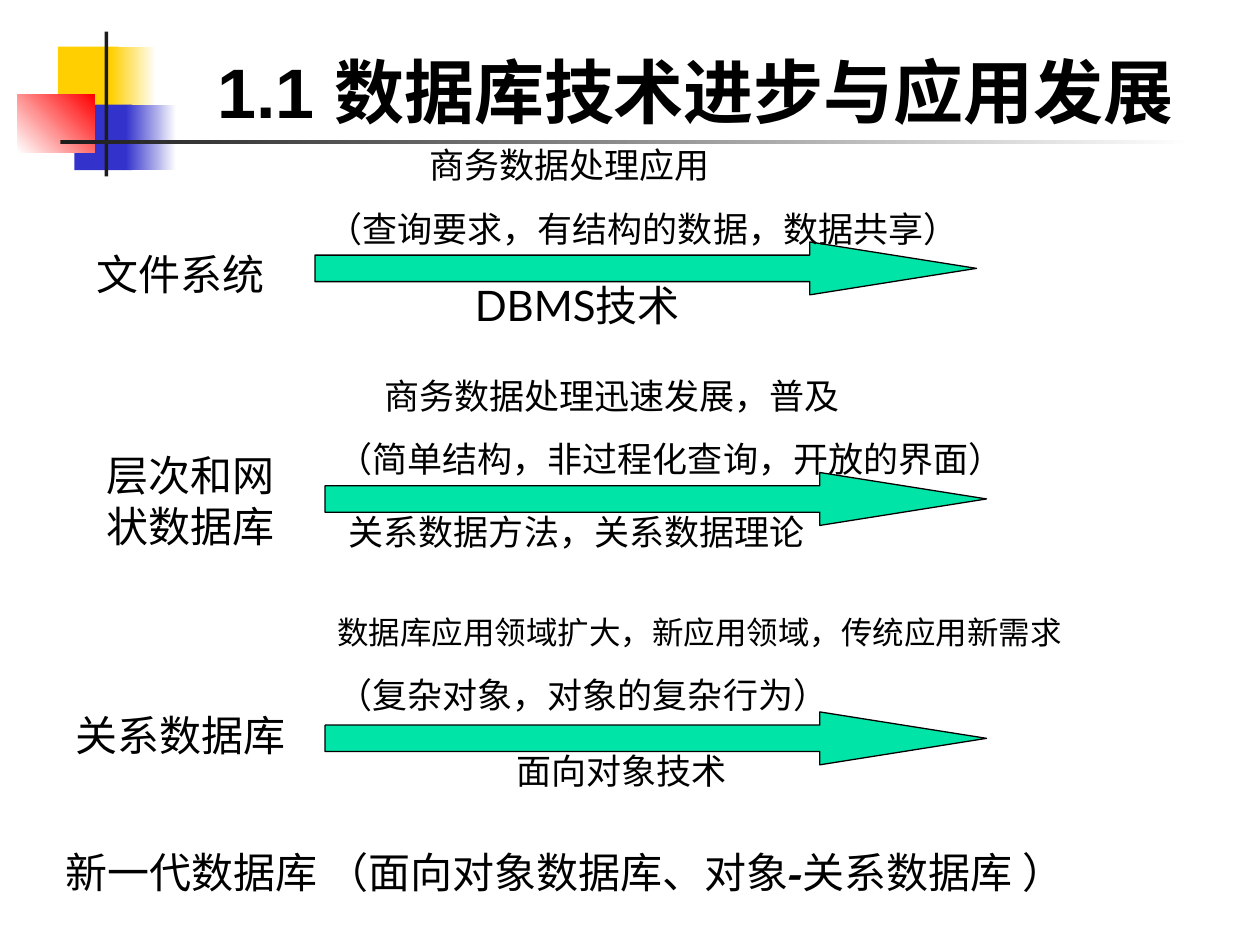
from dataclasses import dataclass
from pptx import Presentation
from pptx.dml.color import RGBColor as RGB
from pptx.enum.shapes import MSO_SHAPE as SHAPE
from pptx.enum.text import MSO_ANCHOR, MSO_AUTO_SIZE as AUTO, PP_ALIGN
from pptx.util import Inches, Pt


@dataclass(frozen=True)
class Theme:
    ink: RGB = RGB(0, 0, 0)
    white: RGB = RGB(255, 255, 255)
    yellow: RGB = RGB.from_string("FFCF01")
    blue: RGB = RGB.from_string("3333CC")
    red: RGB = RGB.from_string("FF0000")
    rule: RGB = RGB.from_string("1C1C1C")
    arrow: RGB = RGB.from_string("00E4A8")
    title: int = 40
    label: int = 24
    note: int = 20
    small: int = 18
    font: str = "Lato"
    title_font: str = "Arial"
    dash_font: str = "TeX Gyre Pagella"


theme = Theme()
prs = Presentation()
prs.slide_width, prs.slide_height = Inches(10), Inches(7.5)
s = prs.slides.add_slide(prs.slide_layouts[5])


def add_run(p, text, size, font=theme.font, bold=False):
    r = p.add_run()
    r.text = text
    r.font.size, r.font.name, r.font.bold = Pt(size), font, bold
    r.font.color.rgb = theme.ink


def add_text(box, paragraphs):
    """Each paragraph is (size, indent in inches, [(text, font, bold), ...])."""
    tf = s.shapes.add_textbox(*map(Inches, box)).text_frame
    tf.word_wrap, tf.auto_size = True, AUTO.SHAPE_TO_FIT_TEXT
    for i, (size, indent, runs) in enumerate(paragraphs):
        p = tf.paragraphs[0] if i == 0 else tf.add_paragraph()
        p.space_before = Pt(size * 0.625)
        if indent:
            p._p.get_or_add_pPr().set("marL", str(Inches(indent)))
        for text, font, bold in runs:
            add_run(p, text, size, font, bold)


# Corner decoration: box, colours (two make a gradient), angle
for box, colors, angle in [
    ((0.46, 0.37, 0.48, 0.52), [theme.yellow], 0),
    ((0.88, 0.37, 0.36, 0.52), [theme.yellow, theme.white], 0),
    ((0.59, 0.83, 0.46, 0.52), [theme.blue], 0),
    ((1, 0.83, 0.4, 0.52), [theme.blue, theme.white], 0),
    ((0.14, 0.75, 0.61, 0.46), [theme.white, theme.red], 45),
    ((0.83, 0.25, 0.03, 1.15), [theme.rule], 0),
    ((0.48, 1.11, 9, 0.03), [theme.rule, theme.white], 0),
]:
    sp = s.shapes.add_shape(SHAPE.RECTANGLE, *map(Inches, box))
    sp.shadow.inherit = False
    sp.line.fill.background()
    if len(colors) == 1:
        sp.fill.solid()
        sp.fill.fore_color.rgb = colors[0]
    else:
        sp.fill.gradient()
        sp.fill.gradient_angle = angle
        for stop, color, position in zip(sp.fill.gradient_stops, colors, (0, 1)):
            stop.color.rgb, stop.position = color, position

# Title
title = s.shapes.title
title.left, title.top, title.width, title.height = map(Inches, (1.26, 0.17, 8.52, 0.93))
tf = title.text_frame
tf.word_wrap, tf.auto_size, tf.vertical_anchor = True, AUTO.NONE, MSO_ANCHOR.BOTTOM
p = tf.paragraphs[0]
p.alignment = PP_ALIGN.CENTER
add_run(p, "1.1 ", theme.title, theme.title_font, True)
add_run(p, "数据库技术进步与应用发展", theme.title, theme.font, True)

# Stages: arrow corner, drivers above it (width, lines), system to its left, technology below it
stages = [
    ((2.5, 1.92),
     (5.49, [("商务数据处理应用", theme.note, 0.81),
             ("（查询要求，有结构的数据，数据共享）", theme.note, 0)]),
     ("文件系统", (0.67, 1.92, 1.67, 0.5)),
     ("DBMS技术", theme.label, (3.67, 2.17, 2, 0.5))),
    ((2.58, 3.75),
     (5.57, [("商务数据处理迅速发展，普及", theme.note, 0.37),
             ("（简单结构，非过程化查询，开放的界面）", theme.note, 0)]),
     ("层次和网状数据库", (0.75, 3.52, 1.67, 0.9)),
     ("关系数据方法，关系数据理论", theme.note, (2.67, 4, 4, 0.44))),
    ((2.58, 5.65),
     (6, [("数据库应用领域扩大，新应用领域，传统应用新需求", theme.small, 0),
          ("（复杂对象，对象的复杂行为）", theme.note, 0)]),
     ("关系数据库", (0.5, 5.58, 1.92, 0.5)),
     ("面向对象技术", theme.note, (4, 5.9, 2.08, 0.44))),
]
for (x, y), (width, drivers), (system, system_box), (tech, tech_size, tech_box) in stages:
    sp = s.shapes.add_shape(SHAPE.RIGHT_ARROW, *map(Inches, (x, y, 5.25, 0.42)))
    sp.adjustments[0], sp.adjustments[1] = 0.5, 3.15
    sp.shadow.inherit = False
    sp.fill.solid()
    sp.fill.fore_color.rgb = theme.arrow
    sp.line.color.rgb, sp.line.width = theme.ink, Pt(0.75)

    add_text((x, y - 0.83, width, 0.94),
             [(size, indent, [(text, theme.font, False)]) for text, size, indent in drivers])
    add_text(system_box, [(theme.label, 0, [(system, theme.font, False)])])
    add_text(tech_box, [(tech_size, 0, [(tech, theme.font, False)])])

# Next generation
add_text((0.42, 6.67, 8.33, 0.5), [(theme.label, 0, [
    ("新一代数据库 （面向对象数据库、对象", theme.font, False),
    ("-", theme.dash_font, True),
    ("关系数据库 ）", theme.font, False),
])])

prs.save("out.pptx")
